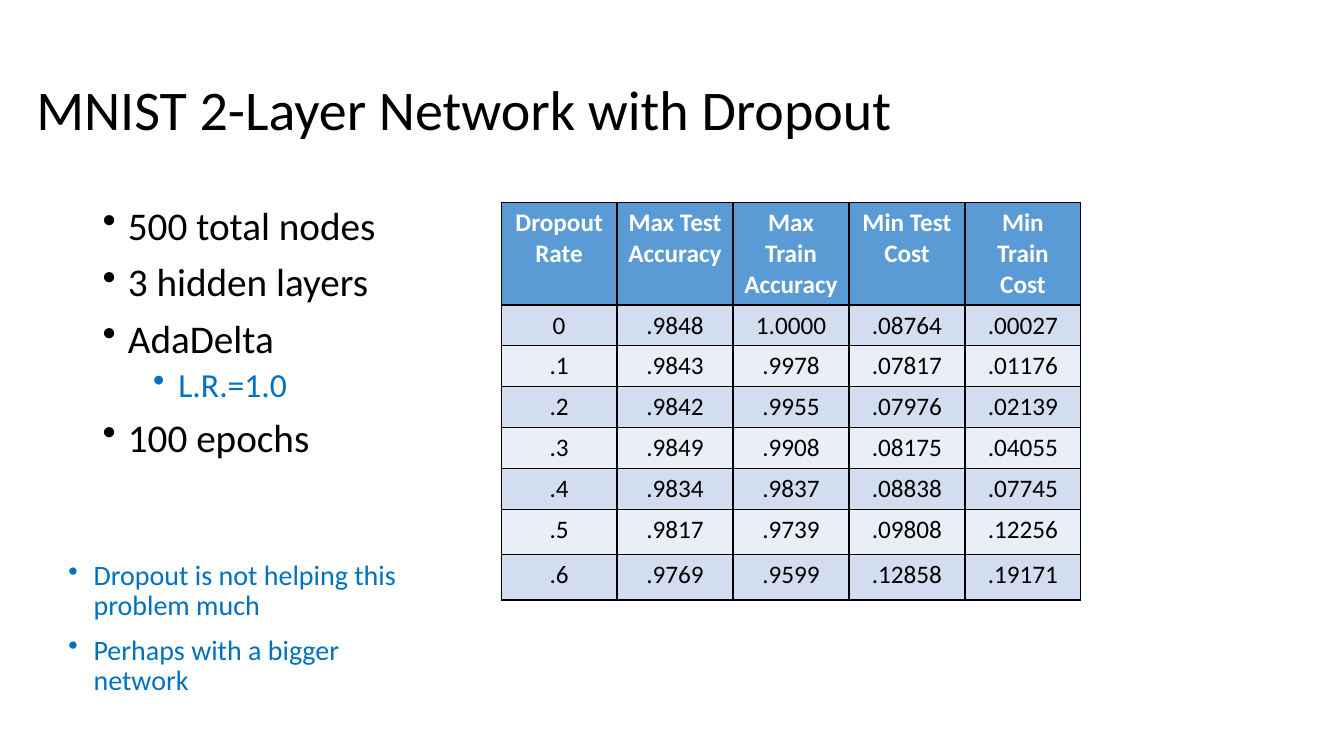
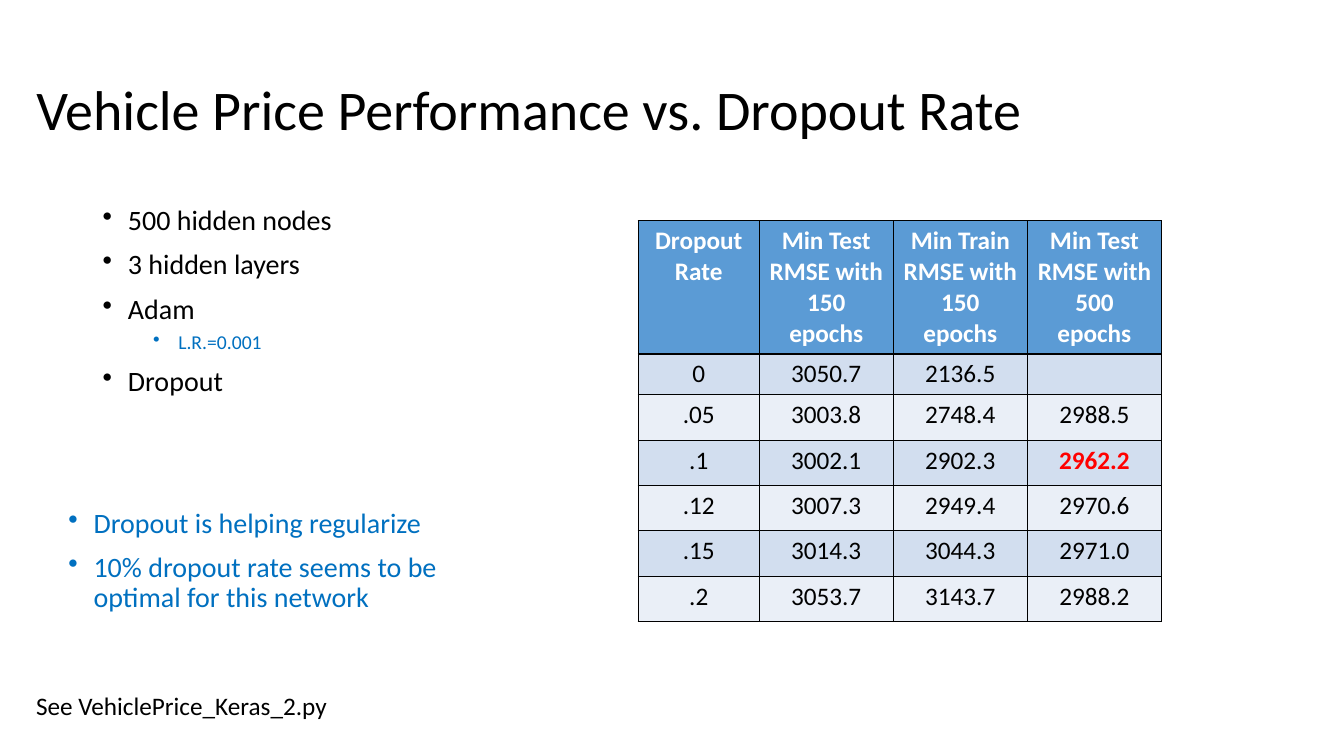
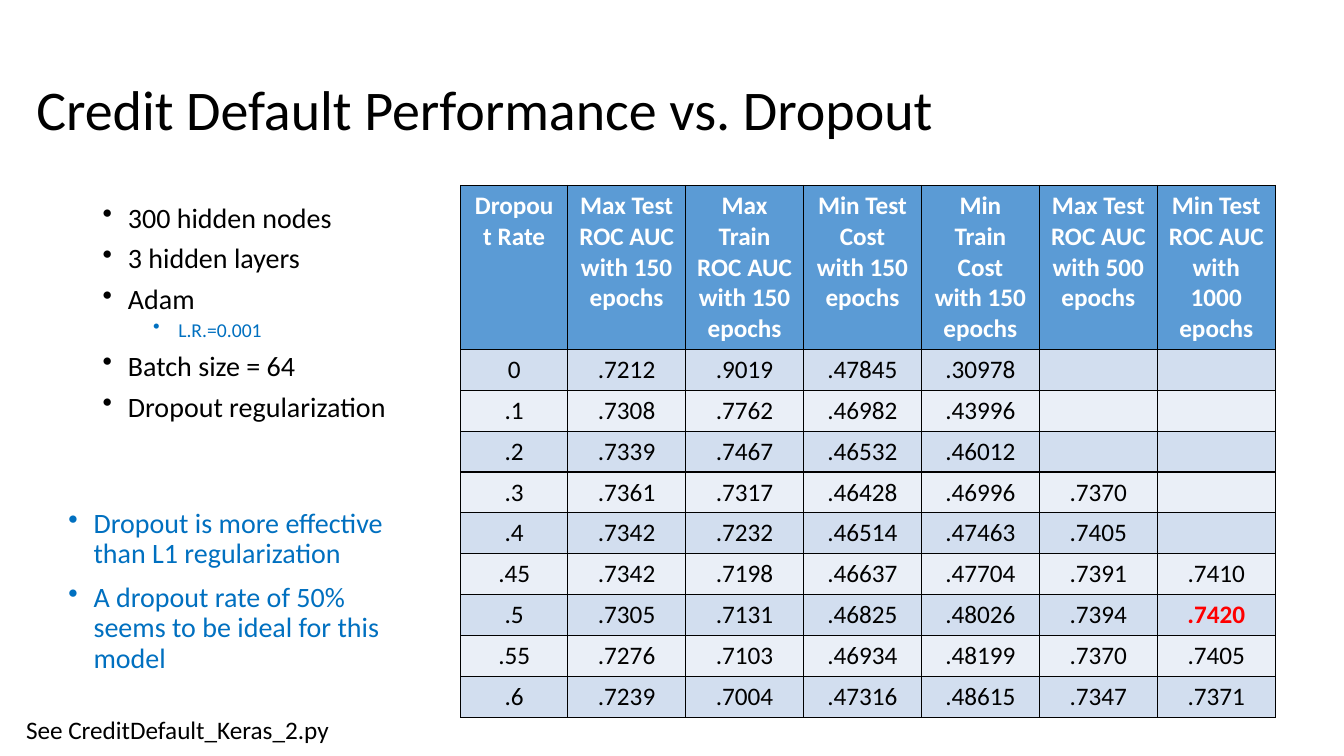
"""Build three slides comparing network results across dropout rates."""
import pptx
import pptx.util
import pptx.dml.color
import pptx.enum.text
import pptx.oxml
import pptx.oxml.ns

Inches = pptx.util.Inches
Pt = pptx.util.Pt

COLORS = {"text": "000000", "accent": "0070C0", "best": "FF0000", "header_text": "FFFFFF",
          "header": "5B9BD5", "band_dark": "D2DEEF", "band_light": "EAEFF7", "border": "000000"}
FONT = "Calibri"
TITLE_BOX = (0.26, 0.39, 11.5, 1.45)
BULLET_INDENT = 0.25
SUBLEVEL_INDENT = 0.5

SLIDES = [
    {
        "title": "MNIST 2-Layer Network with Dropout",
        "setup": {"box": (0.92, 2, 3.39, 3.37), "sizes": (28, 24), "line_spacing": 0.9,
                  "items": [("500 total nodes", 0), ("3 hidden layers", 0), ("AdaDelta", 0),
                            ("L.R.=1.0", 1), ("100 epochs", 0)]},
        "findings": {"box": (0.58, 5.52, 3.5, 1.75),
                     "items": ["Dropout is not helping this problem much",
                               "Perhaps with a bigger network"]},
        "table": {
            "origin": (4.97, 2.01),
            "columns": [1.15] * 5,
            "rows": [1.01] + [0.4] * 5 + [0.45] * 2,
            "best": None,
            "cells": [
                ("Dropout Rate", "Max Test Accuracy", "Max Train Accuracy", "Min Test Cost",
                 "Min Train Cost"),
                ("0", ".9848", "1.0000", ".08764", ".00027"),
                (".1", ".9843", ".9978", ".07817", ".01176"),
                (".2", ".9842", ".9955", ".07976", ".02139"),
                (".3", ".9849", ".9908", ".08175", ".04055"),
                (".4", ".9834", ".9837", ".08838", ".07745"),
                (".5", ".9817", ".9739", ".09808", ".12256"),
                (".6", ".9769", ".9599", ".12858", ".19171"),
            ],
        },
    },
    {
        "title": "Vehicle Price Performance vs. Dropout Rate",
        "setup": {"box": (0.92, 2, 3.39, 2.24), "sizes": (20, 14), "line_spacing": 0.9,
                  "items": [("500 hidden nodes", 0), ("3 hidden layers", 0), ("Adam", 0),
                            ("L.R.=0.001", 1), ("Dropout", 0)]},
        "findings": {"box": (0.58, 5, 4.06, 1.73),
                     "items": ["Dropout is helping regularize",
                               "10% dropout rate seems to be optimal for this network"]},
        "table": {
            "origin": (6.33, 2.19),
            "columns": [1.2] + [1.33] * 3,
            "rows": [1.31, 0.4] + [0.45] * 5,
            "best": (3, 3),
            "cells": [
                ("Dropout Rate", "Min Test RMSE with 150 epochs",
                 "Min Train RMSE with 150 epochs", "Min Test RMSE with 500 epochs"),
                ("0", "3050.7", "2136.5", ""),
                (".05", "3003.8", "2748.4", "2988.5"),
                (".1", "3002.1", "2902.3", "2962.2"),
                (".12", "3007.3", "2949.4", "2970.6"),
                (".15", "3014.3", "3044.3", "2971.0"),
                (".2", "3053.7", "3143.7", "2988.2"),
            ],
        },
        "source": {"box": (0.26, 6.8, 3.61, 0.4), "text": "See VehiclePrice_Keras_2.py"},
    },
    {
        "title": "Credit Default Performance vs. Dropout",
        "setup": {"box": (0.92, 2, 3.39, 2.4), "sizes": (20, 14), "line_spacing": 0.8,
                  "items": [("300 hidden nodes", 0), ("3 hidden layers", 0), ("Adam", 0),
                            ("L.R.=0.001", 1), ("Batch size = 64", 0),
                            ("Dropout regularization", 0)]},
        "findings": {"box": (0.58, 5, 3.5, 1.8),
                     "items": ["Dropout is more effective than L1 regularization",
                               "A dropout rate of 50% seems to be ideal for this model"]},
        "table": {
            "origin": (4.57, 1.84),
            "columns": [1.06] + [1.17] * 6,
            "rows": [1.62] + [0.4] * 9,
            "best": (7, 6),
            "cells": [
                ("Dropout Rate", "Max Test ROC AUC with 150 epochs",
                 "Max Train ROC AUC with 150 epochs", "Min Test Cost with 150 epochs",
                 "Min Train Cost with 150 epochs", "Max Test ROC AUC with 500 epochs",
                 "Min Test ROC AUC with 1000 epochs"),
                ("0", ".7212", ".9019", ".47845", ".30978", "", ""),
                (".1", ".7308", ".7762", ".46982", ".43996", "", ""),
                (".2", ".7339", ".7467", ".46532", ".46012", "", ""),
                (".3", ".7361", ".7317", ".46428", ".46996", ".7370", ""),
                (".4", ".7342", ".7232", ".46514", ".47463", ".7405", ""),
                (".45", ".7342", ".7198", ".46637", ".47704", ".7391", ".7410"),
                (".5", ".7305", ".7131", ".46825", ".48026", ".7394", ".7420"),
                (".55", ".7276", ".7103", ".46934", ".48199", ".7370", ".7405"),
                (".6", ".7239", ".7004", ".47316", ".48615", ".7347", ".7371"),
            ],
        },
        "source": {"box": (0.16, 7.04, 3.22, 0.4), "text": "See CreditDefault_Keras_2.py"},
    },
]


def rgb(name):
    return pptx.dml.color.RGBColor.from_string(COLORS[name])


def set_attributes(target, values):
    for name, value in values.items():
        setattr(target, name, value)


def add_run(paragraph, text, size, color, bold=False):
    run = paragraph.add_run()
    run.text = text
    set_attributes(run.font, {"name": FONT, "size": Pt(size), "bold": bold})
    run.font.color.rgb = rgb(color)


def add_title(slide, text):
    title = slide.shapes.title
    set_attributes(title, dict(zip(("left", "top", "width", "height"), map(Inches, TITLE_BOX))))
    set_attributes(title.text_frame, {
        "word_wrap": True,
        "auto_size": pptx.enum.text.MSO_AUTO_SIZE.NONE,
        "vertical_anchor": pptx.enum.text.MSO_ANCHOR.MIDDLE,
    })
    paragraph = title.text_frame.paragraphs[0]
    set_attributes(paragraph, {"alignment": pptx.enum.text.PP_ALIGN.LEFT, "line_spacing": 0.9})
    add_run(paragraph, text, 40, "text")


def add_text_frame(slide, box):
    text_frame = slide.shapes.add_textbox(*map(Inches, box)).text_frame
    text_frame.word_wrap = True
    return text_frame


def add_bullets(slide, box, items, line_spacing=0.9):
    """Add bullets given as (text, level, size, color)."""
    text_frame = add_text_frame(slide, box)
    for index, (text, level, size, color) in enumerate(items):
        paragraph = text_frame.add_paragraph() if index else text_frame.paragraphs[0]
        set_attributes(paragraph, {
            "level": level,
            "line_spacing": line_spacing,
            "space_before": Pt((5 if level else 10) if index else 0),
        })
        properties = paragraph._p.get_or_add_pPr()
        properties.set("marL", str(Inches(BULLET_INDENT + SUBLEVEL_INDENT * level)))
        properties.set("indent", str(-Inches(BULLET_INDENT)))
        bullet = pptx.oxml.parse_xml(f'<a:buChar {pptx.oxml.ns.nsdecls("a")} char="•"/>')
        properties.append(bullet)
        add_run(paragraph, text, size, color)


def add_cell_borders(cell):
    properties = cell._tc.get_or_add_tcPr()
    for side in "LRTB":
        properties.append(pptx.oxml.parse_xml(
            f'<a:ln{side} {pptx.oxml.ns.nsdecls("a")} w="{Pt(1)}"><a:solidFill>'
            f'<a:srgbClr val="{COLORS["border"]}"/></a:solidFill></a:ln{side}>'))


def add_results_table(slide, origin, columns, rows, best, cells):
    lengths = (*origin, sum(columns), sum(rows))
    table = slide.shapes.add_table(len(rows), len(columns), *map(Inches, lengths)).table
    for column, width in zip(table.columns, columns):
        column.width = Inches(width)
    for row_index, (values, height) in enumerate(zip(cells, rows)):
        table.rows[row_index].height = Inches(height)
        band = "band_dark" if row_index % 2 else "band_light"
        for column_index, value in enumerate(values):
            is_best = (row_index, column_index) == best
            cell = table.cell(row_index, column_index)
            add_cell_borders(cell)
            cell.fill.solid()
            cell.fill.fore_color.rgb = rgb(band if row_index else "header")
            paragraph = cell.text_frame.paragraphs[0]
            paragraph.alignment = pptx.enum.text.PP_ALIGN.CENTER
            if value:
                color = "best" if is_best else "text" if row_index else "header_text"
                add_run(paragraph, value, 18, color, bold=is_best or row_index == 0)


def main():
    presentation = pptx.Presentation()
    set_attributes(presentation, {"slide_width": Inches(13.33), "slide_height": Inches(7.5)})
    for content in SLIDES:
        slide = presentation.slides.add_slide(presentation.slide_layouts[5])
        add_title(slide, content["title"])
        add_results_table(slide, **content["table"])
        setup, findings = content["setup"], content["findings"]
        add_bullets(slide, setup["box"],
                    [(text, level, setup["sizes"][level], "accent" if level else "text")
                     for text, level in setup["items"]], setup["line_spacing"])
        add_bullets(slide, findings["box"],
                    [(text, 0, 20, "accent") for text in findings["items"]])
        if "source" in content:
            text_frame = add_text_frame(slide, content["source"]["box"])
            add_run(text_frame.paragraphs[0], content["source"]["text"], 18, "text")
    presentation.save("out.pptx")


if __name__ == "__main__":
    main()
